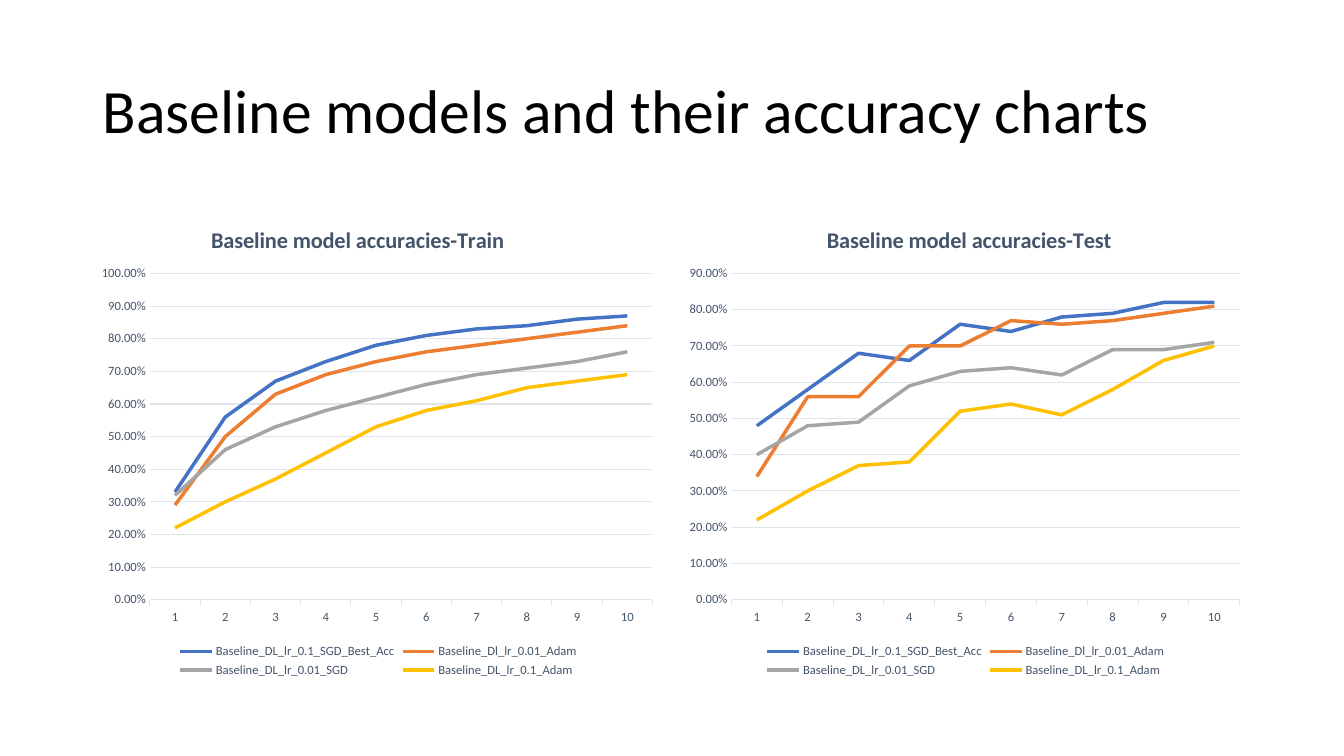
"""Build a slide with two line charts of model accuracy."""
from dataclasses import dataclass

from lxml import etree
from pptx import Presentation
from pptx.chart.data import CategoryChartData
from pptx.dml.color import RGBColor
from pptx.enum.chart import XL_CHART_TYPE, XL_LEGEND_POSITION, XL_MARKER_STYLE, XL_TICK_MARK
from pptx.enum.text import MSO_ANCHOR, PP_ALIGN
from pptx.util import Inches, Pt

LINE = XL_CHART_TYPE.LINE
BOTTOM = XL_LEGEND_POSITION.BOTTOM
PLAIN = XL_MARKER_STYLE.NONE
OUT, NONE = XL_TICK_MARK.OUTSIDE, XL_TICK_MARK.NONE
MIDDLE, LEFT = MSO_ANCHOR.MIDDLE, PP_ALIGN.LEFT
NS = "http://schemas.openxmlformats.org/drawingml/2006/chart"


@dataclass(frozen=True)
class Theme:
    """Hold the colours, font and sizes of the slide."""
    font: str = "Calibri"
    title: str = "000000"
    text: str = "44546A"
    grid: str = "E0E5EB"
    lines: tuple = ("4472C4", "ED7D31", "A5A5A5", "FFC000")
    head: float = 44
    name: float = 16
    label: float = 9
    thin: float = 0.75
    thick: float = 2.5


THEME = Theme()
WIDE, HIGH = 13.33, 7.5
EDGE, GAP = 0.92, 0.16
COL = (WIDE - 2 * EDGE - GAP) / 2
TOP, TALL = 2, 4.76
EPOCHS = [str(n) for n in range(1, 11)]
MODELS = ("Baseline_DL_lr_0.1_SGD_Best_Acc", "Baseline_Dl_lr_0.01_Adam",
          "Baseline_DL_lr_0.01_SGD", "Baseline_DL_lr_0.1_Adam")
TRAIN = ((33, 56, 67, 73, 78, 81, 83, 84, 86, 87),
         (29, 50, 63, 69, 73, 76, 78, 80, 82, 84),
         (32, 46, 53, 58, 62, 66, 69, 71, 73, 76),
         (22, 30, 37, 45, 53, 58, 61, 65, 67, 69))
TEST = ((48, 58, 68, 66, 76, 74, 78, 79, 82, 82),
        (34, 56, 56, 70, 70, 77, 76, 77, 79, 81),
        (40, 48, 49, 59, 63, 64, 62, 69, 69, 71),
        (22, 30, 37, 38, 52, 54, 51, 58, 66, 70))


def style(font, size, color, bold=False):
    """Set the face, size and colour of a font."""
    font.name, font.size, font.bold = THEME.font, Pt(size), bold
    font.color.rgb = RGBColor.from_string(color)


def stroke(line, color, width):
    """Set the colour and width of a line."""
    line.color.rgb = RGBColor.from_string(color)
    line.width = Pt(width)


def layout(**marks):
    """Return a manual chart layout with the given marks."""
    node = etree.Element(f"{{{NS}}}layout")
    manual = etree.SubElement(node, f"{{{NS}}}manualLayout")
    for tag, value in marks.items():
        etree.SubElement(manual, f"{{{NS}}}{tag}").set("val", str(value))
    return node


def add_title(slide, text):
    """Fill and place the title of the slide."""
    shape = slide.shapes.title
    shape.left, shape.top = Inches(EDGE), Inches(0.4)
    shape.width, shape.height = Inches(WIDE - 2 * EDGE), Inches(1.45)
    frame = shape.text_frame
    frame.text = text
    frame.word_wrap, frame.vertical_anchor = True, MIDDLE
    para = frame.paragraphs[0]
    para.alignment, para.line_spacing = LEFT, 0.9
    style(para.runs[0].font, THEME.head, THEME.title)


def name_chart(chart, text, left):
    """Title a chart at a share of its width."""
    chart.has_title = True
    title = chart.chart_title
    title.include_in_layout = False
    title.text_frame.text = text
    style(title.text_frame.paragraphs[0].runs[0].font, THEME.name, THEME.text, True)
    place = layout(xMode="edge", yMode="edge", x=left, y=0.04)
    title._element.find(f"{{{NS}}}tx").addnext(place)
    for old in place.itersiblings(f"{{{NS}}}layout"):
        title._element.remove(old)


def place_plot(chart, left):
    """Fix the inner plot area from its left share."""
    area = chart._chartSpace.find(f".//{{{NS}}}plotArea")
    for old in area.findall(f"{{{NS}}}layout"):
        area.remove(old)
    area.insert(0, layout(layoutTarget="inner", xMode="edge", yMode="edge",
                          x=left, y=0.15, w=round(0.98 - left, 2), h=0.68))


def style_axes(chart, peak):
    """Format both axes, with the value axis up to peak."""
    cats, vals = chart.category_axis, chart.value_axis
    for axis, tick in ((cats, OUT), (vals, NONE)):
        style(axis.tick_labels.font, THEME.label, THEME.text)
        axis.major_tick_mark, axis.minor_tick_mark = tick, NONE
    stroke(cats.format.line, THEME.grid, THEME.thin)
    vals.format.line.fill.background()
    vals.has_major_gridlines = True
    stroke(vals.major_gridlines.format.line, THEME.grid, THEME.thin)
    vals.minimum_scale, vals.maximum_scale, vals.major_unit = 0, peak, 0.1
    vals.tick_labels.number_format = "0.00%"
    vals.tick_labels.number_format_is_linked = False


def add_lines(slide, col, text, rows, peak, start, inset):
    """Draw one accuracy chart in the given column."""
    data = CategoryChartData(number_format="0.00%")
    data.categories = EPOCHS
    for model, row in zip(MODELS, rows):
        data.add_series(model, [value / 100 for value in row])
    left = EDGE + col * (COL + GAP)
    chart = slide.shapes.add_chart(LINE, Inches(left), Inches(TOP),
                                   Inches(COL), Inches(TALL), data).chart
    style(chart.font, 10, THEME.title)
    name_chart(chart, text, start)
    place_plot(chart, inset)
    style_axes(chart, peak)
    chart.has_legend = True
    chart.legend.position, chart.legend.include_in_layout = BOTTOM, False
    style(chart.legend.font, THEME.label, THEME.text)
    chart.plots[0].vary_by_categories = False
    for series, color in zip(chart.plots[0].series, THEME.lines):
        series.smooth, series.marker.style = False, PLAIN
        stroke(series.format.line, color, THEME.thick)


def main():
    """Build and save the deck."""
    deck = Presentation()
    deck.slide_width, deck.slide_height = Inches(WIDE), Inches(HIGH)
    slide = deck.slides.add_slide(deck.slide_layouts[5])
    add_title(slide, "Baseline models and their accuracy charts")
    add_lines(slide, 1, "Baseline model accuracies-Test", TEST, 0.9, 0.25, 0.09)
    add_lines(slide, 0, "Baseline model accuracies-Train", TRAIN, 1, 0.2, 0.1)
    deck.save("out.pptx")


if __name__ == "__main__":
    main()
